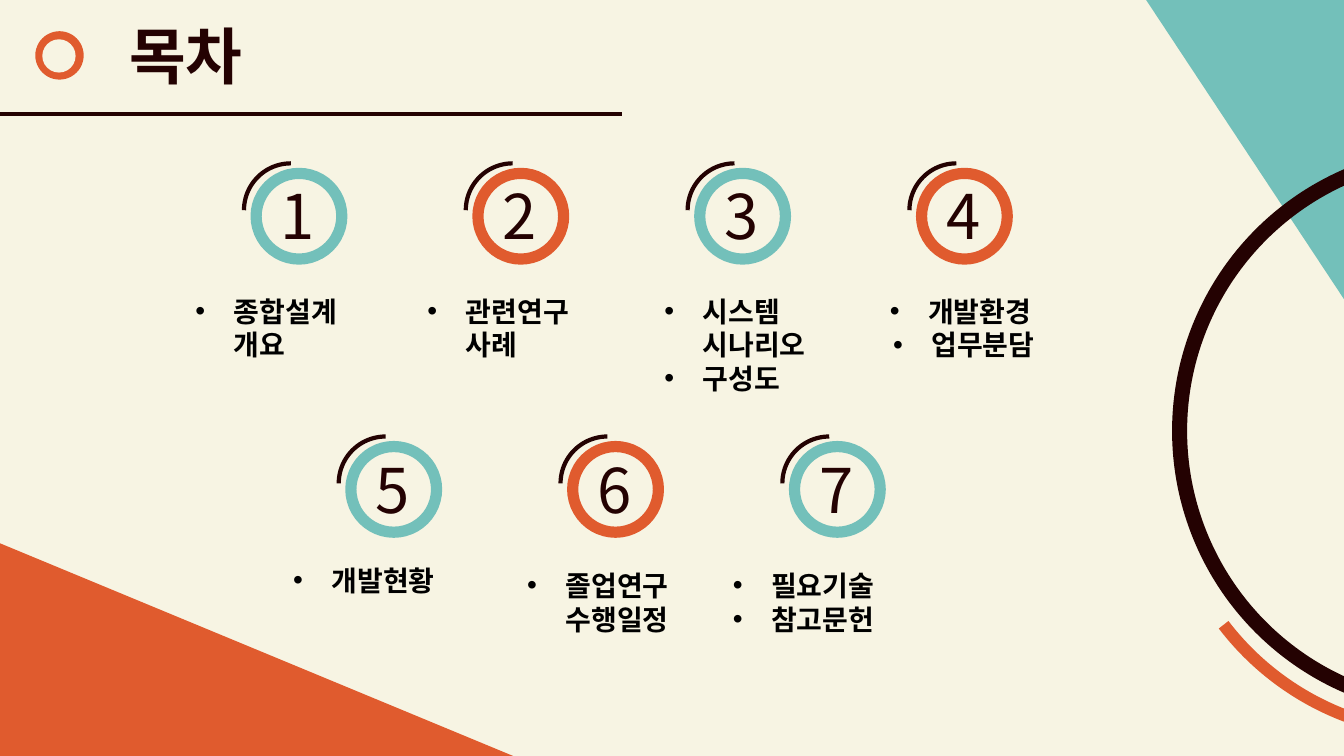
import pptx
import pptx.dml.color
import pptx.enum.shapes
import pptx.enum.text
import pptx.oxml.ns
import pptx.util
from lxml import etree
from pptx.util import Inches

CREAM, TEAL, ORANGE, DARK, BLACK = "F7F4E3", "73C0BA", "E05B2E", "240202", "000000"
Shapes = pptx.enum.shapes.MSO_SHAPE
Align = pptx.enum.text.PP_ALIGN
qn = pptx.oxml.ns.qn


def color(hex_string):
    return pptx.dml.color.RGBColor.from_string(hex_string)


class SlideBuilder:
    """Holds the deck style and the slide being drawn."""

    font_name = "Noto Sans CJK KR"
    bullet_indent = 0.38

    def __init__(self, slide, background):
        self.slide = slide
        slide.background.fill.solid()
        slide.background.fill.fore_color.rgb = color(background)

    def shape(self, kind, left, top, width, height, fill=None, line=None,
              line_width=0, rotation=0, adjustments=()):
        shape = self.slide.shapes.add_shape(
            kind, Inches(left), Inches(top), Inches(width), Inches(height))
        shape.shadow.inherit = False
        shape.rotation = rotation
        for index, value in enumerate(adjustments):
            shape.adjustments[index] = value
        if fill:
            shape.fill.solid()
            shape.fill.fore_color.rgb = color(fill)
        else:
            shape.fill.background()
        if line:
            shape.line.color.rgb = color(line)
            shape.line.width = pptx.util.Pt(line_width)
        else:
            shape.line.fill.background()

    def line(self, left, top, right, bottom, line, line_width):
        connector = self.slide.shapes.add_connector(
            pptx.enum.shapes.MSO_CONNECTOR.STRAIGHT,
            Inches(left), Inches(top), Inches(right), Inches(bottom))
        connector.line.color.rgb = color(line)
        connector.line.width = pptx.util.Pt(line_width)
        etree.SubElement(connector._element.spPr, qn("a:effectLst"))

    def text(self, left, top, width, height, lines, size, ink,
             bold=False, align=Align.CENTER, bullets=False):
        box = self.slide.shapes.add_textbox(
            Inches(left), Inches(top), Inches(width), Inches(height))
        frame = box.text_frame
        frame.word_wrap = True
        frame.auto_size = pptx.enum.text.MSO_AUTO_SIZE.SHAPE_TO_FIT_TEXT
        frame.text = "\n".join(lines)
        for paragraph in frame.paragraphs:
            paragraph.alignment = align
            if bullets:
                self.bullet(paragraph)
            font = paragraph.font
            font.size = pptx.util.Pt(size)
            font.bold = bold
            font.color.rgb = color(ink)
            font.name = self.font_name
            defaults = paragraph._p.pPr.find(qn("a:defRPr"))
            etree.SubElement(defaults, qn("a:ea"), typeface=self.font_name)

    def bullet(self, paragraph):
        properties = paragraph._p.get_or_add_pPr()
        indent = Inches(self.bullet_indent)
        properties.set("marL", str(indent))
        properties.set("indent", str(-indent))
        etree.SubElement(properties, qn("a:buFont"), typeface="Arial")
        etree.SubElement(properties, qn("a:buChar"), char="•")

    def number_badge(self, number, left, top, ring):
        self.shape(Shapes.OVAL, left, top, 0.85, 0.85, line=ring, line_width=8)
        self.shape(Shapes.ARC, left - 0.12, top - 0.1, 0.93, 0.93,
                   line=DARK, line_width=3, rotation=270)
        self.text(left + 0.01, top, 0.81, 0.84, [str(number)], 44, DARK)

    def topics(self, left, top, width, height, lines, align=Align.LEFT):
        self.text(left, top, width, height, lines, 20, BLACK,
                  bold=True, align=align, bullets=True)


def draw_decoration(builder):
    builder.shape(Shapes.ISOSCELES_TRIANGLE, 0, 5.39, 5.21, 2.16,
                  fill=ORANGE, adjustments=[0])
    builder.shape(Shapes.ISOSCELES_TRIANGLE, 10.86, 0.5, 2.98, 1.97,
                  fill=TEAL, rotation=270, adjustments=[1])
    builder.shape(Shapes.ARC, 11.7, 1.52, 5.51, 5.51, line=DARK, line_width=10.75,
                  rotation=266.4, adjustments=[122.78, 205.19])
    builder.shape(Shapes.ARC, 11.57, 1.77, 5.51, 5.51, line=ORANGE, line_width=8.75,
                  rotation=257.8, adjustments=[127.46, 146.89])


def draw_title(builder):
    builder.text(0.61, 0.13, 2.47, 0.84, ["목차"], 44, DARK, bold=True)
    builder.shape(Shapes.OVAL, 0.35, 0.31, 0.48, 0.48, fill=ORANGE)
    builder.shape(Shapes.OVAL, 0.42, 0.39, 0.33, 0.33, fill=CREAM)
    builder.line(0, 1.13, 6.17, 1.13, DARK, 3)


def draw_contents(builder):
    badge_step = 2.2
    # first number, count, left, top
    for first, count, left, top in [(1, 4, 2.54, 1.72), (5, 3, 3.48, 4.43)]:
        for column in range(count):
            ring = ORANGE if column % 2 else TEAL
            builder.number_badge(first + column, left + column * badge_step, top, ring)

    builder.topics(1.84, 2.87, 1.97, 0.77, ["종합설계 개요"])
    builder.topics(4.14, 2.87, 2.03, 0.77, ["관련연구 사례"])
    builder.topics(6.49, 2.87, 1.73, 1.11, ["시스템 시나리오", "구성도"])
    builder.topics(8.41, 2.87, 2.3, 0.77, ["개발환경 ", "업무분담"], Align.CENTER)
    builder.topics(2.81, 5.54, 2.03, 0.44, ["개발현황"])
    builder.topics(5.13, 5.59, 1.92, 0.77, ["졸업연구 수행일정"])
    builder.topics(7.17, 5.59, 2.29, 0.77, ["필요기술", "참고문헌"])


def main():
    presentation = pptx.Presentation()
    presentation.slide_width = Inches(13.33)
    presentation.slide_height = Inches(7.5)
    slide = presentation.slides.add_slide(presentation.slide_layouts[6])
    builder = SlideBuilder(slide, CREAM)
    draw_decoration(builder)
    draw_title(builder)
    draw_contents(builder)
    presentation.save("out.pptx")


if __name__ == "__main__":
    main()
